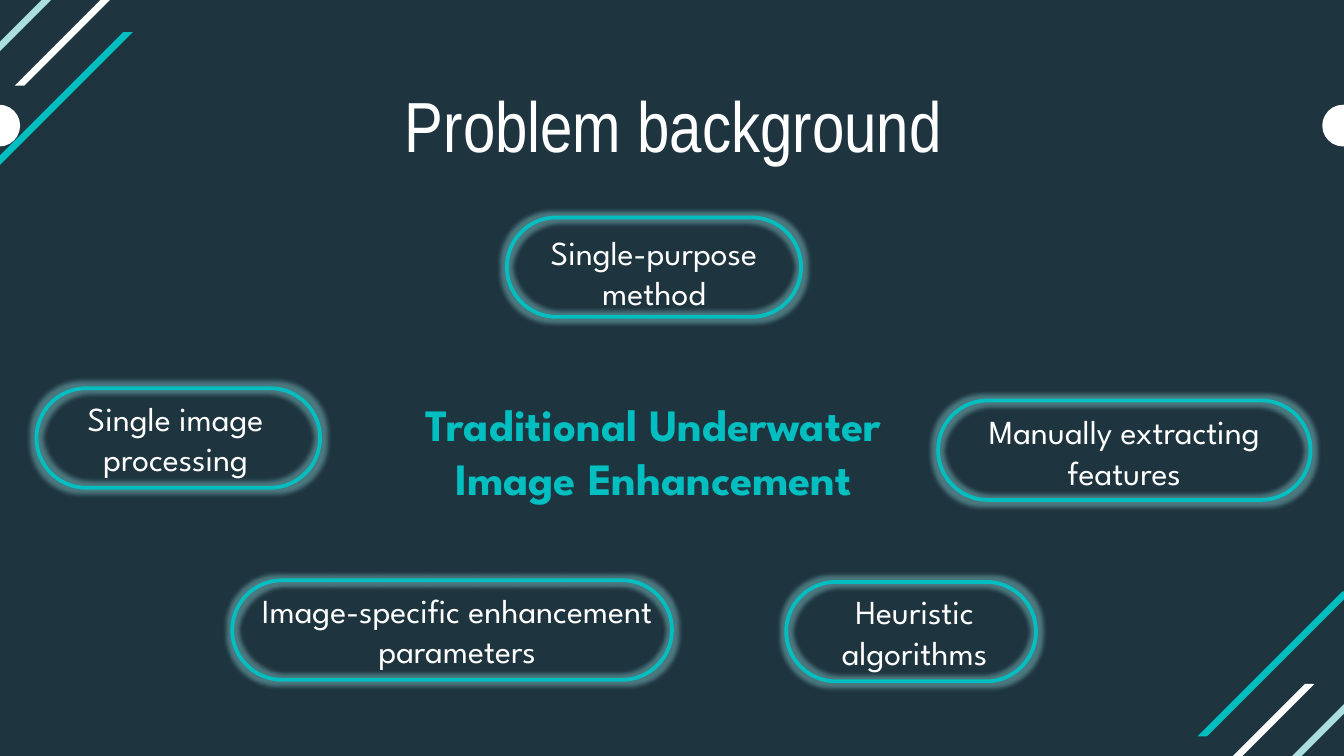
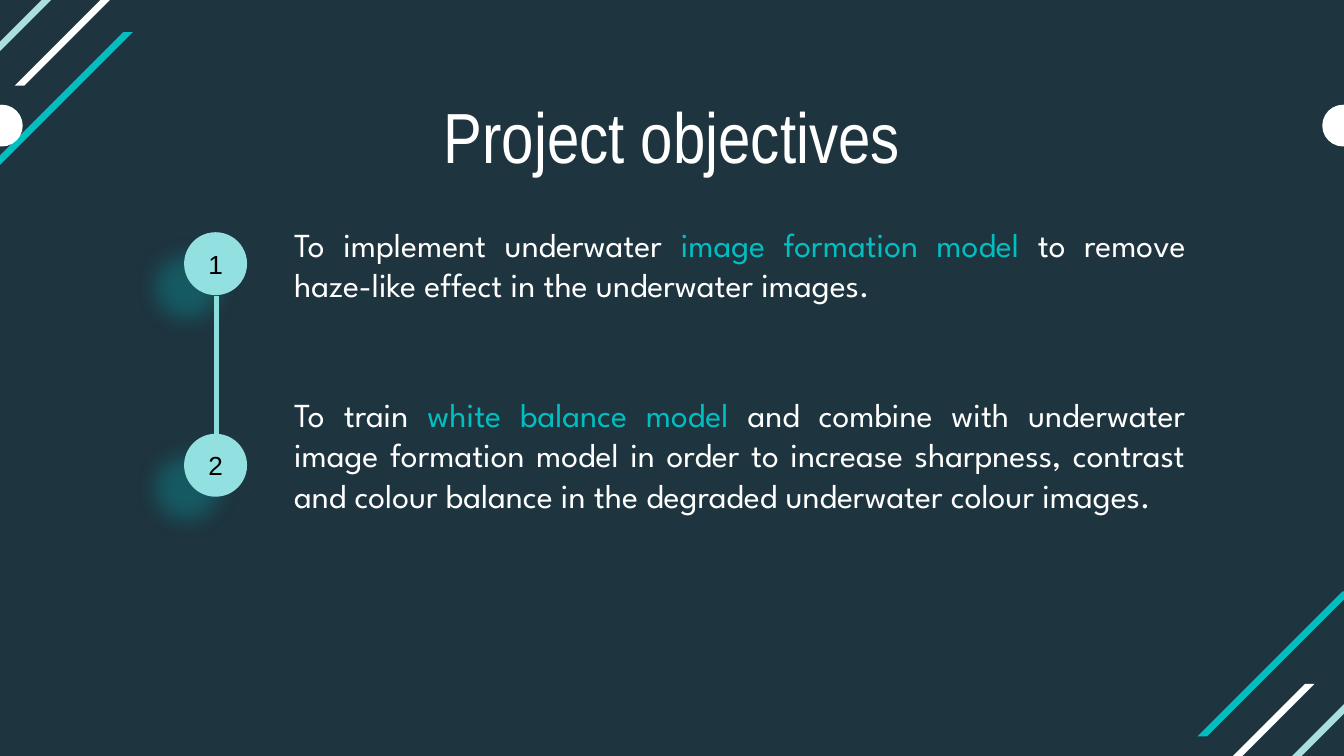
from lxml.etree import SubElement
from pptx import Presentation
from pptx.dml.color import RGBColor
from pptx.enum.shapes import MSO_CONNECTOR, MSO_SHAPE
from pptx.enum.text import MSO_ANCHOR, MSO_AUTO_SIZE, PP_ALIGN
from pptx.oxml.ns import qn
from pptx.util import Cm, Pt

COLORS = {"bg": "1E343F", "teal": "01BEC0", "pale": "ABDFDF", "mint": "92E0E0",
          "link": "8DDDDD", "white": "FFFFFF", "black": "000000"}
BODY, TITLE = "League Spartan", "Arial Narrow"
STRIPES = [(-0.41, 0.61, 2.74, "teal"), (-0.99, -0.53, 2.31, "pale"), (0.28, -1.12, 2.74, "white"),
           (23.65, 12.75, 2.31, "pale"), (21.92, 12.93, 2.74, "white"), (22.63, 11.18, 2.74, "teal")]
STRIPE_W = 0.18
DOT, DOT_TOP = 0.79, 1.98
PILL_H, TEXT_H = 1.88, 1.8


def rgb(name):
    """Return a named colour."""
    return RGBColor.from_string(COLORS[name])


def paint(sp, fill=None, line=None, width=2):
    """Set fill and line of a shape and drop its shadow."""
    sp.shadow.inherit = False
    if fill:
        sp.fill.solid()
        sp.fill.fore_color.rgb = rgb(fill)
    else:
        sp.fill.background()
    if line:
        sp.line.color.rgb = rgb(line)
        sp.line.width = Pt(width)
    else:
        sp.line.fill.background()


def add_effect(sp, kind, color, alpha, **attrs):
    """Add a glow or shadow to a painted shape."""
    effects = sp._element.spPr.find(qn("a:effectLst"))
    effect = SubElement(effects, qn(f"a:{kind}"), {k: str(v) for k, v in attrs.items()})
    clr = SubElement(effect, qn("a:srgbClr"), val=COLORS[color])
    SubElement(clr, qn("a:alpha"), val=str(alpha * 1000))


def write(tf, paragraphs, size=18, font=BODY, color="white", bold=False, align=PP_ALIGN.CENTER,
          anchor=MSO_ANCHOR.TOP, fit=MSO_AUTO_SIZE.NONE):
    """Fill a text frame; a paragraph is a string or a list of (text, colour) runs."""
    tf.word_wrap = True
    tf.auto_size = fit
    tf.vertical_anchor = anchor
    for i, runs in enumerate(paragraphs):
        p = tf.add_paragraph() if i else tf.paragraphs[0]
        p.alignment = align
        for text, run_color in [(runs, color)] if isinstance(runs, str) else runs:
            r = p.add_run()
            r.text = text
            r.font.name, r.font.size, r.font.bold = font, Pt(size), bold
            r.font.color.rgb = rgb(run_color)


def add_text(shapes, x, y, w, h, paragraphs, **fmt):
    """Add a text box that grows with its text."""
    sp = shapes.add_textbox(Cm(x), Cm(y), Cm(w), Cm(h))
    write(sp.text_frame, paragraphs, fit=MSO_AUTO_SIZE.SHAPE_TO_FIT_TEXT, **fmt)


def add_circle(s, x, y, d, fill):
    """Add a filled circle."""
    sp = s.shapes.add_shape(MSO_SHAPE.OVAL, Cm(x), Cm(y), Cm(d), Cm(d))
    paint(sp, fill)
    return sp


def add_stripe(s, x, y, h, color):
    """Add a diagonal stripe rising at 45 degrees."""
    w = h + STRIPE_W
    points = [(x, y + h), (x + STRIPE_W, y + h), (x + w, y)]
    fb = s.shapes.build_freeform(Cm(x + h), Cm(y))
    fb.add_line_segments([(Cm(px), Cm(py)) for px, py in points])
    paint(fb.convert_to_shape(), color)


def add_base(prs, title, box, inset, left_dot):
    """Add a slide with stripes, edge dots and title."""
    s = prs.slides.add_slide(prs.slide_layouts.get_by_name("Title Only"))
    for stripe in STRIPES:
        add_stripe(s, *stripe)
    for x in (left_dot, 24.99):
        add_circle(s, x, DOT_TOP, DOT, "white")
    sp = s.shapes.title
    sp.left, sp.top, sp.width, sp.height = map(Cm, box)
    tf = sp.text_frame
    tf.margin_top = tf.margin_bottom = Cm(inset)
    write(tf, [title], size=38, font=TITLE)
    return s


def add_pill(s, x, y, w, text, dx, dy, text_w):
    """Add a glowing pill grouped with its label."""
    shapes = s.shapes.add_group_shape().shapes
    sp = shapes.add_shape(MSO_SHAPE.ROUNDED_RECTANGLE, Cm(x), Cm(y), Cm(w), Cm(PILL_H))
    sp.adjustments[0] = 0.5
    paint(sp, line="teal")
    add_effect(sp, "glow", "mint", 40, rad=Pt(5))
    add_text(shapes, x + dx, y + dy, text_w, TEXT_H, [text])


def add_step(s, x, y, number):
    """Add a numbered circle with a soft teal shadow."""
    sp = add_circle(s, x, y, 1.19, "mint")
    add_effect(sp, "outerShdw", "teal", 28, blurRad=Pt(11.8), dist=Pt(19.7),
               dir=141 * 60000, algn="ctr", rotWithShape=0)
    tf = sp.text_frame
    tf.margin_left = tf.margin_right = tf.margin_top = tf.margin_bottom = 0
    write(tf, [str(number)], size=14, font="Arial", color="black", anchor=MSO_ANCHOR.MIDDLE)


def add_link(s, x, y1, y2):
    """Add the vertical line between two steps."""
    cn = s.shapes.add_connector(MSO_CONNECTOR.STRAIGHT, Cm(x), Cm(y1), Cm(x), Cm(y2))
    cn.line.color.rgb = rgb("link")
    cn.line.width = Pt(2.25)
    SubElement(cn._element.spPr, qn("a:effectLst"))


def build_background(prs):
    """Build the problem background slide."""
    s = add_base(prs, "Problem background", (7.04, 1.42, 11.38, 1.88), 0.13, -0.41)
    add_text(s.shapes, 7.42, 7.37, 9.86, 2.31, ["Traditional Underwater", "Image Enhancement"],
             size=24, color="teal", bold=True)
    for pill in [(17.73, 7.57, 7.04, "Manually extracting features", 0, 0.08, 7.04),
                 (9.58, 4.11, 5.56, "Single-purpose method", 0.28, 0.15, 5),
                 (4.39, 10.97, 8.31, "Image-specific enhancement parameters", 0.2, 0.05, 8.1),
                 (14.86, 11, 4.72, "Heuristic algorithms", 0.56, 0.05, 3.73),
                 (0.69, 7.34, 5.36, "Single image processing", 0.18, 0.05, 4.9)]:
        add_pill(s, *pill)


def build_objectives(prs):
    """Build the project objectives slide."""
    s = add_base(prs, "Project objectives", (1.98, 1.5, 21.44, 1.73), 0.25, -0.36)
    objectives = [
        (4.39, 4.11, 1.8, [("To implement underwater ", "white"), ("image formation model", "teal"),
                           (" to remove haze-like effect in the underwater images.", "white")]),
        (8.2, 7.32, 3.33, [("To train ", "white"), ("white balance model", "teal"),
                           (" and combine with underwater image formation model in order to increase "
                            "sharpness, contrast and colour balance in the degraded underwater "
                            "colour images.", "white")])]
    for i, (step_y, y, h, runs) in enumerate(objectives, 1):
        add_step(s, 3.48, step_y, i)
        add_text(s.shapes, 5.31, y, 17.35, h, [runs], align=PP_ALIGN.JUSTIFY)
    add_link(s, 4.09, 5.6, 8.2)


def main():
    """Build and save the presentation."""
    prs = Presentation()
    prs.slide_width, prs.slide_height = Cm(25.4), Cm(14.29)
    fill = prs.slide_master.background.fill
    fill.solid()
    fill.fore_color.rgb = rgb("bg")
    build_background(prs)
    build_objectives(prs)
    prs.save("out.pptx")


if __name__ == "__main__":
    main()
